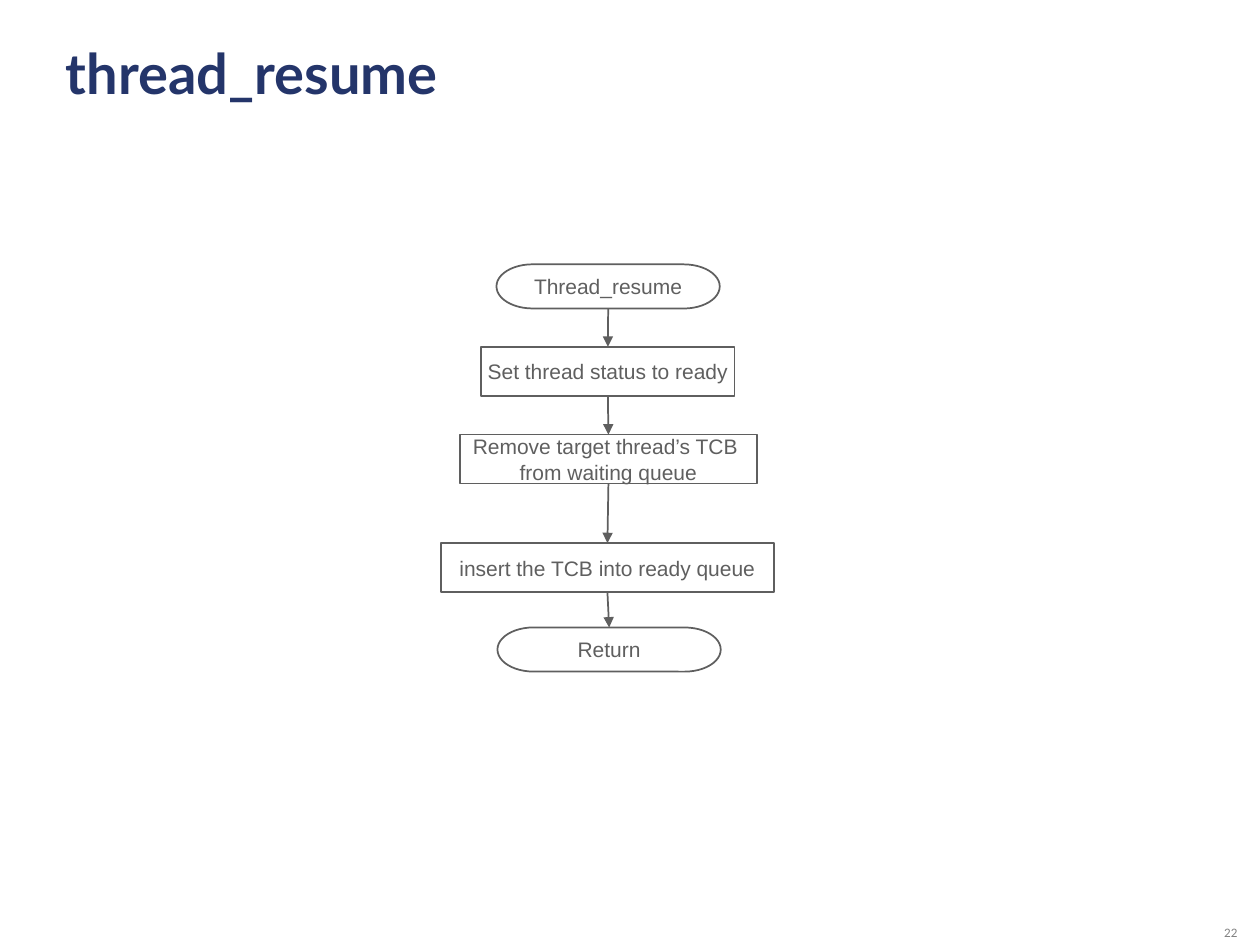
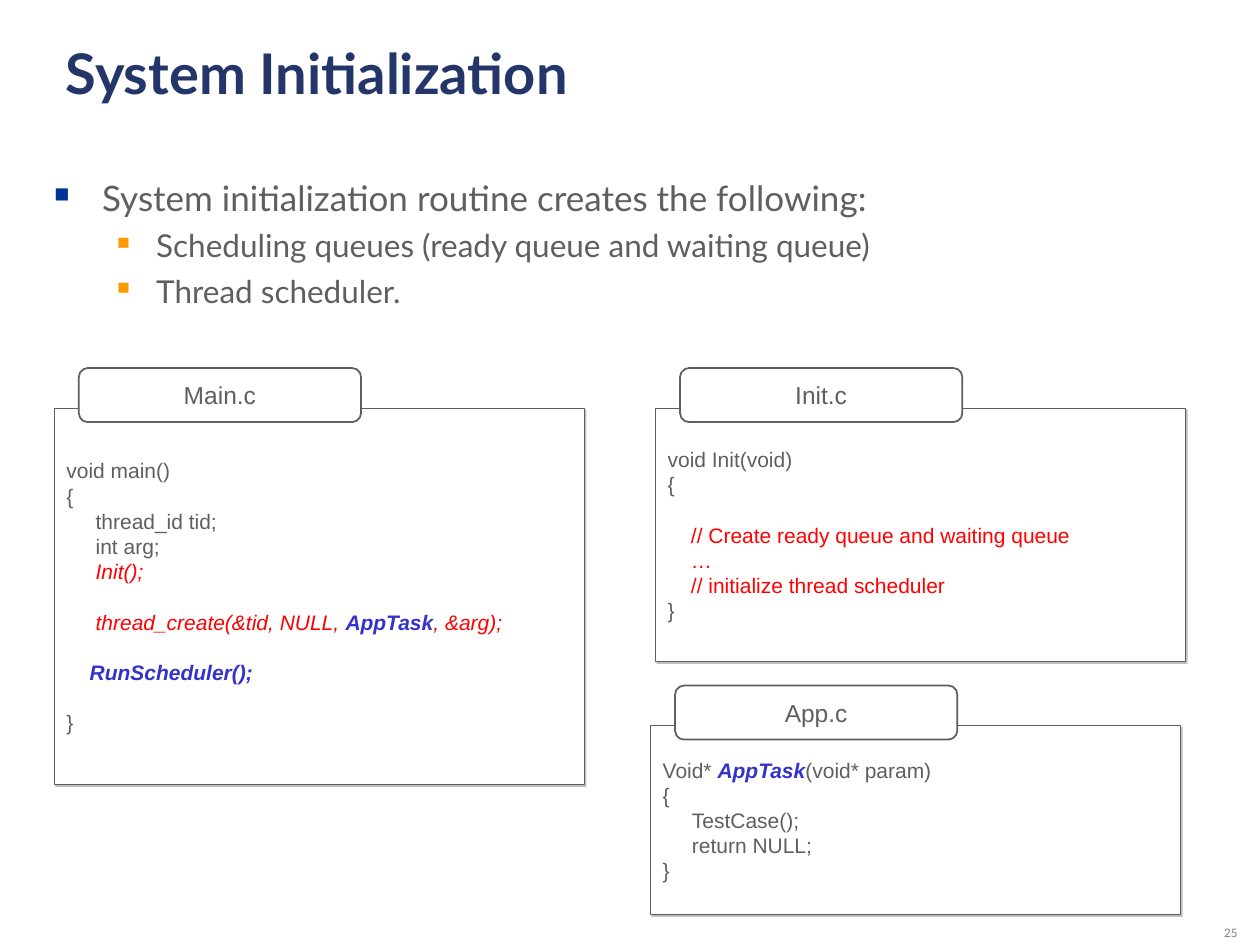
from lxml import etree
from pptx import Presentation
from pptx.dml.color import RGBColor
from pptx.enum.shapes import MSO_CONNECTOR as Link, MSO_SHAPE as Preset
from pptx.enum.text import MSO_ANCHOR as Anchor, MSO_AUTO_SIZE as Fit, PP_ALIGN as Align
from pptx.oxml import parse_xml
from pptx.oxml.ns import nsdecls, qn
from pptx.util import Cm, Pt

WHITE = RGBColor(0xFF, 0xFF, 0xFF)
GREY = RGBColor(0x5F, 0x5F, 0x5F)
PALE_GREY = RGBColor(0x80, 0x80, 0x80)
NAVY = RGBColor(0x24, 0x35, 0x6A)
BLUE = RGBColor(0x00, 0x33, 0x99)
ORANGE = RGBColor(0xFF, 0x99, 0x00)
RED = RGBColor(0xFF, 0x00, 0x00)
VIOLET = RGBColor(0x33, 0x33, 0xCC)

HEADING_FONT = "Lato"
SHAPE_FONT = "Arial"
CODE_PITCH = Pt(14.4)

PLAIN = {"name": SHAPE_FONT, "size": Pt(12), "color": GREY}
TAB_TEXT = PLAIN | {"size": Pt(14)}
COMMENT = PLAIN | {"color": RED}
CALL = COMMENT | {"italic": True}
KEY_CALL = CALL | {"color": VIOLET, "bold": True}
TITLE = {"name": HEADING_FONT, "size": Pt(32), "color": NAVY, "bold": True}
PAGE_NUMBER = {"name": HEADING_FONT, "size": Pt(6.6), "color": PALE_GREY}

# Bullet levels: size, space before, left margin, hanging indent, colour, bullet percent
LEVELS = [
    (Pt(20), Pt(5), Cm(0.97), Cm(0.97), BLUE, 60),
    (Pt(18), Pt(4.5), Cm(2.06), Cm(0.79), ORANGE, 55),
]

# Flow steps: preset, left, top, width, height, lines
TERMINAL, ACTION = Preset.FLOWCHART_TERMINATOR, Preset.RECTANGLE
STEPS = [
    (TERMINAL, 10.01, 5.33, 4.5, 0.89, ["Thread_resume"]),
    (ACTION, 9.7, 6.99, 5.11, 0.99, ["Set thread status to ready"]),
    (ACTION, 9.27, 8.76, 5.99, 0.99, ["Remove target thread’s TCB ", "from waiting queue"]),
    (ACTION, 8.89, 10.95, 6.71, 0.99, ["insert the TCB into ready queue"]),
    (TERMINAL, 10.03, 12.65, 4.5, 0.89, ["Return"]),
]

BULLETS = [
    (0, "System initialization routine creates the following:"),
    (1, "Scheduling queues (ready queue and waiting queue)"),
    (1, "Thread scheduler."),
]

# Code lines: indent in cm, empty lines above, spans
MAIN_CODE = [
    (0, 0, [("void main()", PLAIN)]),
    (0, 0, [("{", PLAIN)]),
    (0.59, 0, [("thread_id tid;", PLAIN)]),
    (0.59, 0, [("int arg;", PLAIN)]),
    (0.59, 0, [("Init();", CALL)]),
    (0.59, 1, [("thread_create(&tid, NULL, ", CALL), ("AppTask", KEY_CALL), (", &arg);", CALL)]),
    (0.47, 1, [("RunScheduler();", KEY_CALL)]),
    (0, 1, [("}", PLAIN)]),
]
INIT_CODE = [
    (0, 0, [("void Init(void)", PLAIN)]),
    (0, 0, [("{", PLAIN)]),
    (0.47, 1, [("// Create ready queue and waiting queue", COMMENT)]),
    (0.47, 0, [("…", COMMENT)]),
    (0.47, 0, [("// initialize thread scheduler", COMMENT)]),
    (0, 0, [("}", PLAIN)]),
]
APP_CODE = [
    (0, 0, [("Void* ", PLAIN), ("AppTask", KEY_CALL), ("(void* param)", PLAIN)]),
    (0, 0, [("{", PLAIN)]),
    (0.59, 0, [("TestCase();", PLAIN)]),
    (0.59, 0, [("return NULL;", PLAIN)]),
    (0, 0, [("}", PLAIN)]),
]
# Panels: file name, left, top, height, code
PANELS = [
    ("Main.c", 1.09, 8.23, 7.59, MAIN_CODE),
    ("Init.c", 13.21, 8.23, 5.11, INIT_CODE),
    ("App.c", 13.11, 14.63, 3.81, APP_CODE),
]


def lengths(*values):
    return [Cm(value) for value in values]


def add_span(para, text, style):
    span = para.add_run()
    span.text = text
    for key, value in style.items():
        if key == "color":
            span.font.color.rgb = value
        else:
            setattr(span.font, key, value)


def next_para(frame, index):
    return frame.add_paragraph() if index else frame.paragraphs[0]


class LectureDeck:
    def __init__(self):
        self.deck = Presentation()
        self.deck.slide_width, self.deck.slide_height = lengths(25.4, 19.05)
        self.page = None

    def add_page(self, title, number):
        self.page = self.deck.slides.add_slide(self.deck.slide_layouts[5])
        heading = self.page.shapes.title
        heading.left, heading.top, heading.width, heading.height = lengths(1.07, 0.64, 22.94, 3.1)
        self.format_frame(heading.text_frame, vertical_anchor=Anchor.TOP)
        para = heading.text_frame.paragraphs[0]
        para.alignment = Align.LEFT
        add_span(para, title, TITLE)

        frame = self.text_box(22.66, 18.42, 2.54, 0.64, Anchor.BOTTOM)
        para = frame.paragraphs[0]
        para.alignment, para.line_spacing = Align.RIGHT, 0.8
        add_span(para, number, PAGE_NUMBER)

    def format_frame(self, frame, **changes):
        settings = {"word_wrap": True, "auto_size": Fit.NONE, "vertical_anchor": Anchor.MIDDLE}
        for key, value in (settings | changes).items():
            setattr(frame, key, value)

    def text_box(self, left, top, width, height, anchor):
        box = self.page.shapes.add_textbox(*lengths(left, top, width, height))
        self.format_frame(box.text_frame, vertical_anchor=anchor)
        return box.text_frame

    def outlined_box(self, preset, left, top, width, height, line_width=1):
        box = self.page.shapes.add_shape(preset, *lengths(left, top, width, height))
        box.shadow.inherit = False
        box.fill.solid()
        box.fill.fore_color.rgb = WHITE
        box.line.color.rgb = GREY
        box.line.width = Pt(line_width)
        return box

    def label_box(self, preset, left, top, width, height, lines, style=PLAIN):
        box = self.outlined_box(preset, left, top, width, height)
        self.format_frame(box.text_frame, word_wrap=False)
        for index, line in enumerate(lines):
            para = next_para(box.text_frame, index)
            para.alignment = Align.CENTER
            if len(lines) > 1:
                para.line_spacing = CODE_PITCH
            add_span(para, line, style)
        return box

    def arrow(self, upper, lower):
        """Join the bottom of one box to the top of the next."""
        link = self.page.shapes.add_connector(Link.STRAIGHT, 0, 0, 0, 0)
        link.begin_connect(upper, 2)
        link.end_connect(lower, 0)
        link.line.color.rgb = GREY
        link.line.width = Pt(1)
        etree.SubElement(link.line._get_or_add_ln(), qn("a:tailEnd"), type="triangle")
        etree.SubElement(link._element.spPr, qn("a:effectLst"))

    def bullet_list(self, left, top, width, height, items):
        frame = self.text_box(left, top, width, height, Anchor.TOP)
        for index, (level, text) in enumerate(items):
            size, gap, margin, hang, color, percent = LEVELS[level]
            para = next_para(frame, index)
            para.level, para.space_before = level, gap
            add_span(para, text, {"name": HEADING_FONT, "size": size, "color": GREY})
            props = para._p.get_or_add_pPr()
            props.set("marL", str(margin))
            props.set("indent", str(-hang))
            tint = etree.SubElement(props, qn("a:buClr"))
            etree.SubElement(tint, qn("a:srgbClr"), val=str(color))
            etree.SubElement(props, qn("a:buSzPct"), val=str(percent * 1000))
            etree.SubElement(props, qn("a:buChar"), char="■")

    def code_panel(self, file_name, left, top, height, code):
        box = self.outlined_box(Preset.RECTANGLE, left, top, 10.69, height, 0.5)
        self.drop_shadow(box)
        self.format_frame(box.text_frame)
        for index, (indent, gaps, spans) in enumerate(code):
            para = next_para(box.text_frame, index)
            para.alignment = Align.LEFT
            para.line_spacing = CODE_PITCH
            para.space_before = Pt(CODE_PITCH.pt * gaps)
            para._p.get_or_add_pPr().set("marL", str(Cm(indent)))
            for text, style in spans:
                add_span(para, text, style)
        self.label_box(Preset.ROUNDED_RECTANGLE, left + 0.5, top - 0.81, 5.69, 1.09,
                       [file_name], TAB_TEXT)

    def drop_shadow(self, box):
        effects = box._element.spPr.find(qn("a:effectLst"))
        effects.append(parse_xml(
            f'<a:outerShdw {nsdecls("a")} blurRad="0" dist="{Pt(1.4)}" dir="2700000">'
            f'<a:srgbClr val="{PALE_GREY}"><a:alpha val="50000"/></a:srgbClr></a:outerShdw>'))


def main():
    lecture = LectureDeck()

    lecture.add_page("thread_resume", "22")
    boxes = [lecture.label_box(*step) for step in STEPS]
    for upper, lower in zip(boxes, boxes[1:]):
        lecture.arrow(upper, lower)

    lecture.add_page("System Initialization", "25")
    lecture.bullet_list(0.84, 3.43, 22.96, 14.4, BULLETS)
    for panel in PANELS:
        lecture.code_panel(*panel)

    lecture.deck.save("out.pptx")


if __name__ == "__main__":
    main()
